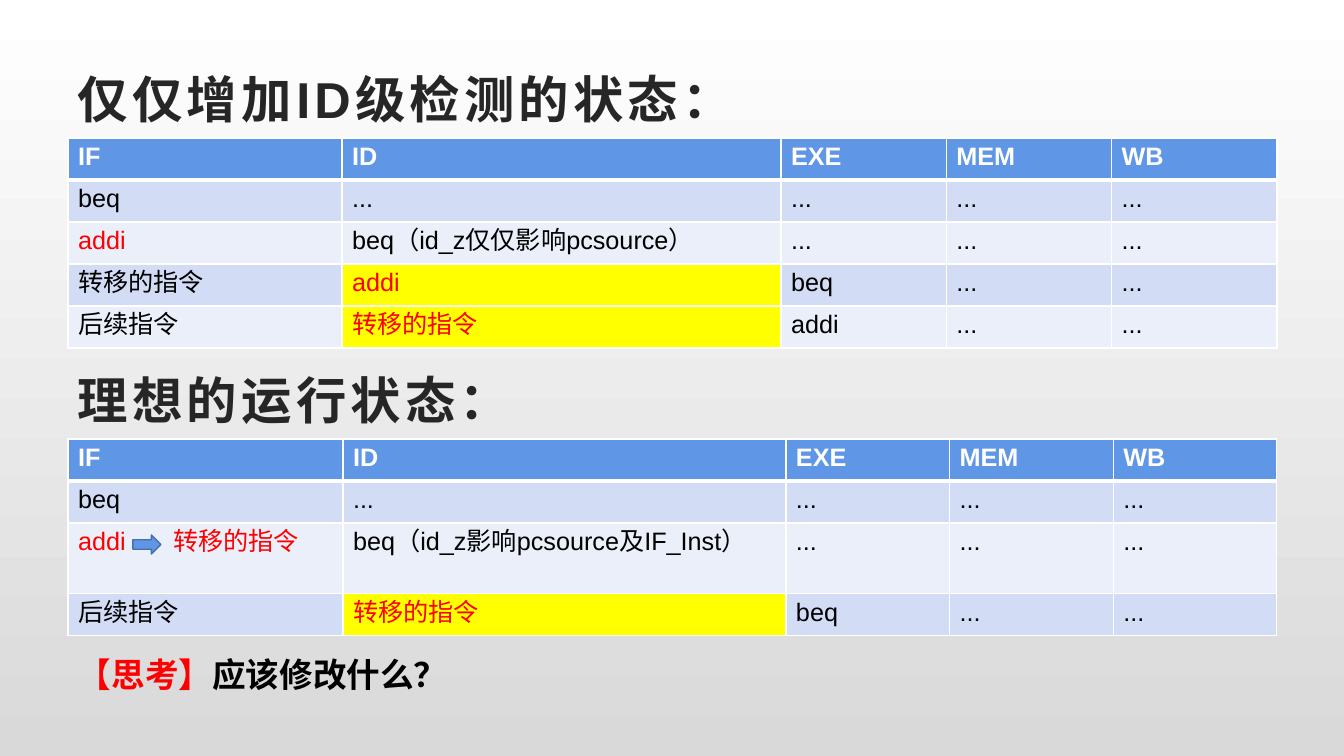
from lxml import etree
from pptx import Presentation
from pptx.dml.color import RGBColor
from pptx.enum.shapes import MSO_SHAPE
from pptx.enum.text import MSO_ANCHOR
from pptx.oxml.ns import qn
from pptx.util import Pt

MIDDLE, TOP = MSO_ANCHOR.MIDDLE, MSO_ANCHOR.TOP
RIGHT_ARROW = MSO_SHAPE.RIGHT_ARROW

# Content
COLORS = {
    "white": "FFFFFF", "gray": "D9D9D9", "title": "262626", "black": "000000",
    "red": "FF0000", "yellow": "FFFF00", "header": "6096E6",
    "band_dark": "D2DDF5", "band_light": "EAEFFA", "arrow_line": "476FAA",
}
FONT = "Arial"
STAGES = ["IF", "ID", "EXE", "MEM", "WB"]
HEADINGS = [("仅仅增加ID级检测的状态：", 59), ("理想的运行状态：", 360)]
QUESTION = [("【思考】", "red"), ("应该修改什么？", "black")]
# Red and yellow list (row, column) cells; the header is row 0
PIPELINES = [
    {
        "top": 138, "wide_columns": [274, 439],
        "rows": [
            ["beq", "...", "...", "...", "..."],
            ["addi", "beq（id_z仅仅影响pcsource）", "...", "...", "..."],
            ["转移的指令", "addi", "beq", "...", "..."],
            ["后续指令", "转移的指令", "addi", "...", "..."],
        ],
        "red": {(2, 0), (3, 1), (4, 1)}, "yellow": {(3, 1), (4, 1)},
    },
    {
        "top": 439, "wide_columns": [275, 443],
        "rows": [
            ["beq", "...", "...", "...", "..."],
            ["addi\t转移的指令", "beq（id_z影响pcsource及IF_Inst）", "...", "...", "..."],
            ["后续指令", "转移的指令", "beq", "...", "..."],
        ],
        "red": {(2, 0), (3, 1)}, "yellow": {(3, 1)},
    },
]

# Layout in px
LEFT, WIDTH, ROW_HEIGHT = 68, 1209, 42
TAB_STOP = 95
ARROW = (133, 535, 28, 19)


def px(value):
    return round(value * 914400 / 100.8)


def rgb(name):
    return RGBColor.from_string(COLORS[name])


def add_run(paragraph, text, size, color, bold=False, spacing=0):
    run = paragraph.add_run()
    run.text = text
    run.font.name = FONT
    run.font.size = Pt(size)
    run.font.bold = bold
    run.font.color.rgb = rgb(color)
    properties = run._r.get_or_add_rPr()
    etree.SubElement(properties, qn("a:ea"), typeface=FONT)
    if spacing:
        properties.set("spc", str(spacing * 100))


def add_text(slide, box, runs, size, anchor, spacing=0):
    frame = slide.shapes.add_textbox(*map(px, box)).text_frame
    frame.word_wrap = True
    frame.vertical_anchor = anchor
    for text, color in runs:
        add_run(frame.paragraphs[0], text, size, color, True, spacing)


def add_borders(cell, row):
    widths = {"lnL": 1, "lnR": 1, "lnT": 3 if row == 1 else 1, "lnB": 3 if row == 0 else 1}
    properties = cell._tc.get_or_add_tcPr()
    for side, width in widths.items():
        line = etree.SubElement(properties, qn("a:" + side), w=str(Pt(width)))
        fill = etree.SubElement(line, qn("a:solidFill"))
        etree.SubElement(fill, qn("a:srgbClr"), val=COLORS["white"])


def add_tab_stop(paragraph):
    tabs = etree.SubElement(paragraph._p.get_or_add_pPr(), qn("a:tabLst"))
    etree.SubElement(tabs, qn("a:tab"), pos=str(px(TAB_STOP)), algn="l")


def add_pipeline(slide, pipeline):
    rows = [STAGES] + pipeline["rows"]
    wide = pipeline["wide_columns"]
    narrow_count = len(STAGES) - len(wide)
    widths = wide + [(WIDTH - sum(wide)) / narrow_count] * narrow_count
    table = slide.shapes.add_table(
        len(rows), len(STAGES), px(LEFT), px(pipeline["top"]),
        px(WIDTH), px(ROW_HEIGHT * len(rows))).table
    for column, width in zip(table.columns, widths):
        column.width = px(width)
    for row, texts in enumerate(rows):
        table.rows[row].height = px(ROW_HEIGHT)
        for column, text in enumerate(texts):
            cell = table.cell(row, column)
            place = (row, column)
            header = row == 0
            band = "header" if header else "band_dark" if row % 2 else "band_light"
            color = "white" if header else "red" if place in pipeline["red"] else "black"
            add_borders(cell, row)
            cell.fill.solid()
            cell.fill.fore_color.rgb = rgb("yellow" if place in pipeline["yellow"] else band)
            paragraph = cell.text_frame.paragraphs[0]
            if "\t" in text:
                add_tab_stop(paragraph)
            add_run(paragraph, text, 18, color, bold=header)


def main():
    presentation = Presentation()
    presentation.slide_width, presentation.slide_height = px(1344), px(756)
    slide = presentation.slides.add_slide(presentation.slide_layouts[6])

    # Background
    background = slide.background.fill
    background.gradient()
    background.gradient_angle = 270
    for stop, color in zip(background.gradient_stops, ("white", "gray")):
        stop.color.rgb = rgb(color)

    # Headings, tables and question
    for text, top in HEADINGS:
        add_text(slide, (LEFT, top, WIDTH, 78), [(text, "title")], 36, MIDDLE, spacing=3)
    for pipeline in PIPELINES:
        add_pipeline(slide, pipeline)
    add_text(slide, (LEFT, 649, 1024, 50), QUESTION, 24, TOP)

    # Arrow from addi to the branch target
    arrow = slide.shapes.add_shape(RIGHT_ARROW, *map(px, ARROW))
    arrow.shadow.inherit = False
    arrow.fill.solid()
    arrow.fill.fore_color.rgb = rgb("header")
    arrow.line.color.rgb = rgb("arrow_line")
    arrow.line.width = Pt(1)

    presentation.save("out.pptx")


if __name__ == "__main__":
    main()
